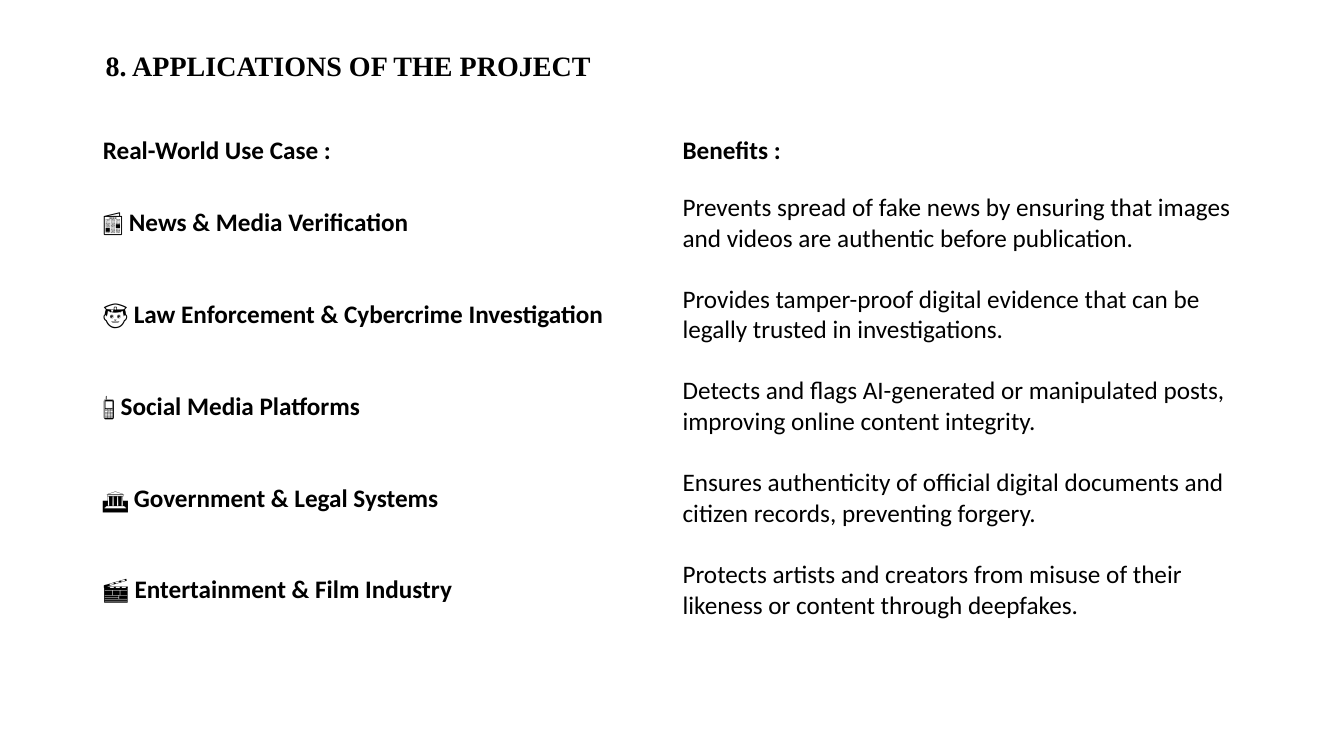
from pptx import Presentation
from pptx.dml.color import RGBColor
from pptx.enum.text import MSO_ANCHOR
from pptx.util import Inches, Pt

BLACK = RGBColor(0x00, 0x00, 0x00)

HEADINGS = ("Real-World Use Case :", "Benefits :")
USE_CASES = [
    ("📰 ", "News & Media Verification",
     "Prevents spread of fake news by ensuring that images and videos are authentic before publication."),
    ("👮 ", "Law Enforcement & Cybercrime Investigation",
     "Provides tamper-proof digital evidence that can be legally trusted in investigations."),
    ("📱 ", "Social Media Platforms",
     "Detects and flags AI-generated or manipulated posts, improving online content integrity."),
    ("🏛️ ", "Government & Legal Systems",
     "Ensures authenticity of official digital documents and citizen records, preventing forgery."),
    ("🎬 ", "Entertainment & Film Industry",
     "Protects artists and creators from misuse of their likeness or content through deepfakes."),
]


class SlideBuilder:
    title_font, title_size = "Times New Roman", 20
    body_font, body_size = "Calibri", 18

    def __init__(self, slide):
        self.slide = slide

    def add_span(self, para, text, bold, font_name, size):
        span = para.add_run()
        span.text = text
        span.font.name = font_name
        span.font.size = Pt(size)
        span.font.bold = bold
        span.font.color.rgb = BLACK

    def add_title(self, text, left, top, width, height):
        box = self.slide.shapes.add_textbox(
            Inches(left), Inches(top), Inches(width), Inches(height))
        box.text_frame.word_wrap = True
        para = box.text_frame.paragraphs[0]
        para.line_spacing = 0.9
        self.add_span(para, text, True, self.title_font, self.title_size)

    def fill_cell(self, cell, spans):
        cell.fill.background()
        cell.vertical_anchor = MSO_ANCHOR.MIDDLE
        para = cell.text_frame.paragraphs[0]
        for text, bold in spans:
            self.add_span(para, text, bold, self.body_font, self.body_size)

    def add_table(self, rows, left, top, width, header_height, row_height):
        height = header_height + row_height * (len(rows) - 1)
        table = self.slide.shapes.add_table(
            len(rows), len(rows[0]), Inches(left), Inches(top),
            Inches(width), Inches(height)).table
        table.first_row = False
        table.horz_banding = False
        for row_index, row in enumerate(rows):
            table.rows[row_index].height = Inches(row_height if row_index else header_height)
            for column_index, spans in enumerate(row):
                self.fill_cell(table.cell(row_index, column_index), spans)


def main():
    deck = Presentation()
    deck.slide_width = Inches(13.33)
    deck.slide_height = Inches(7.5)
    page = SlideBuilder(deck.slides.add_slide(deck.slide_layouts[6]))

    page.add_title("8. APPLICATIONS OF THE PROJECT", 0.95, 0.47, 11.51, 0.5)
    rows = [[[(heading, True)] for heading in HEADINGS]]
    for icon, use_case, benefit in USE_CASES:
        rows.append([[(icon, False), (use_case, True)], [(benefit, False)]])
    page.add_table(rows, 0.92, 1.24, 11.5, 0.52, 0.91)

    deck.save("out.pptx")


if __name__ == "__main__":
    main()
